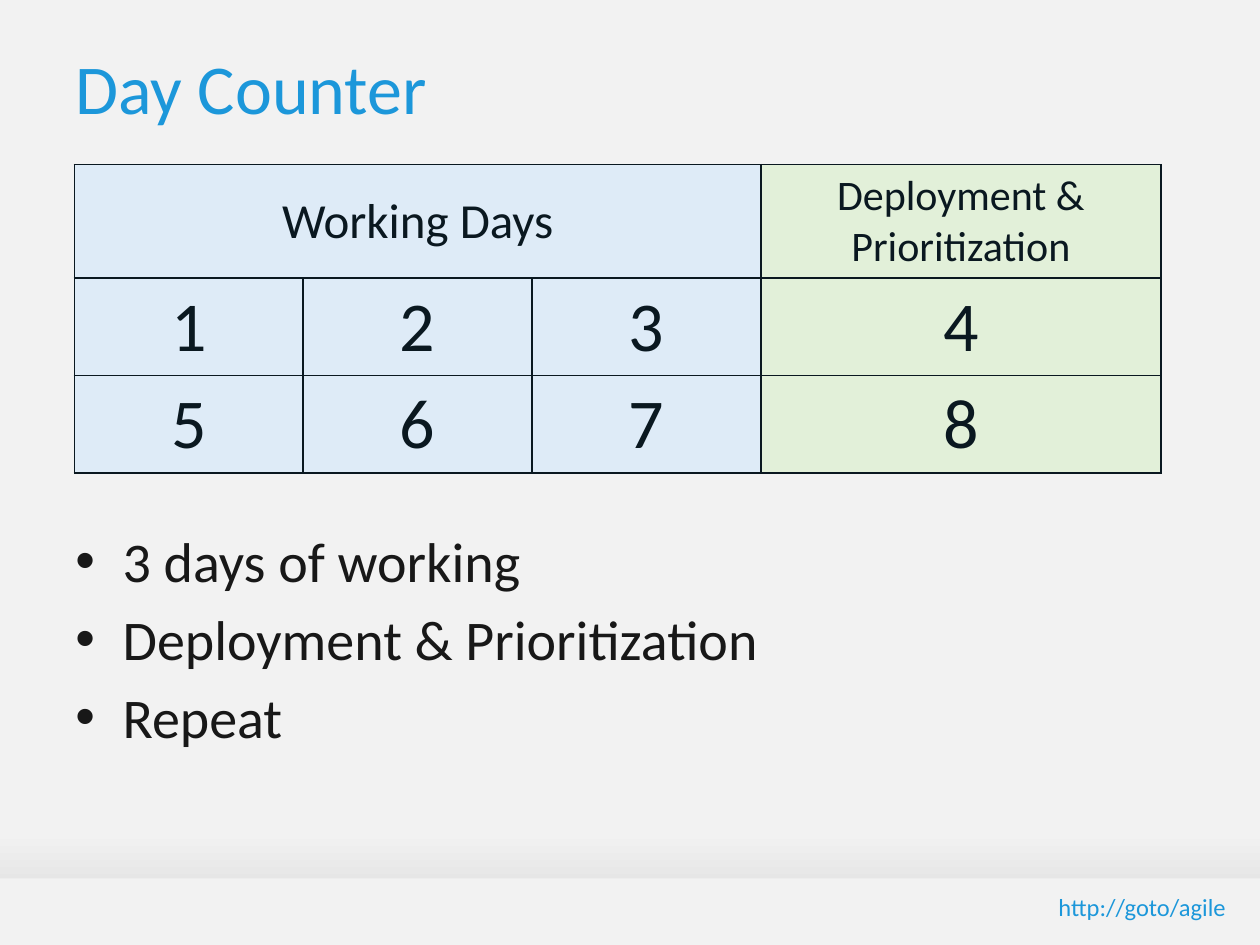
from dataclasses import dataclass

from lxml.etree import SubElement
from pptx import Presentation
from pptx.dml.color import RGBColor
from pptx.enum.shapes import MSO_SHAPE
from pptx.enum.text import MSO_ANCHOR, PP_ALIGN
from pptx.oxml import parse_xml
from pptx.oxml.ns import nsdecls, qn
from pptx.util import Pt

# Content
TITLE = "Day Counter"
LINK = "http://goto/agile"
HEADERS = {0: "Working Days", 3: "Deployment & Prioritization"}
DAYS = [["1", "2", "3", "4"], ["5", "6", "7", "8"]]
BULLETS = ["3 days of working", "Deployment & Prioritization", "Repeat"]

# Layout in points
SLIDE_W, SLIDE_H = 720, 540
FOOTER_TOP = 502
TABLE_LEFT, TABLE_TOP = 42.5, 94
COL_WIDTHS = [130.8, 130.8, 130.8, 228.5]
ROW_HEIGHTS = [65, 55.7, 55.7]


@dataclass(frozen=True)
class Theme:
    font: str = "Calibri"
    background: str = "F2F2F2"
    shade: str = "D3D3D3"
    accent: str = "1C97DA"
    body: str = "181818"
    ink: str = "0A1820"
    work: str = "DEEBF7"
    deploy: str = "E2F0D9"
    title_size: int = 40
    body_size: int = 32
    header_size: int = 28
    small_header_size: int = 24
    day_size: int = 40
    link_size: int = 14


T = Theme()


def rgb(value):
    return RGBColor.from_string(value)


def style(p, size, color, align=PP_ALIGN.LEFT):
    p.alignment = align
    for r in p.runs:
        r.font.name = T.font
        r.font.size = Pt(size)
        r.font.color.rgb = rgb(color)


def add_band(s, top, height):
    sp = s.shapes.add_shape(MSO_SHAPE.RECTANGLE, 0, Pt(top), Pt(SLIDE_W), Pt(height))
    sp.shadow.inherit = False
    sp.line.fill.background()
    return sp.fill


def add_text(s, box, lines, size, color, anchor, align=PP_ALIGN.LEFT):
    tf = s.shapes.add_textbox(*map(Pt, box)).text_frame
    tf.word_wrap = True
    tf.vertical_anchor = anchor
    tf.text = "\n".join(lines)
    for p in tf.paragraphs:
        style(p, size, color, align)
    return tf


def add_bullet(p, indent):
    pPr = p._p.get_or_add_pPr()
    pPr.set("marL", str(Pt(indent)))
    pPr.set("indent", str(-Pt(indent)))
    SubElement(pPr, qn("a:buFont")).set("typeface", "Arial")
    SubElement(pPr, qn("a:buChar")).set("char", "•")


def format_cell(cell, size, fill):
    cell.vertical_anchor = MSO_ANCHOR.MIDDLE
    cell.fill.solid()
    cell.fill.fore_color.rgb = rgb(fill)
    style(cell.text_frame.paragraphs[0], size, T.ink, PP_ALIGN.CENTER)
    tcPr = cell._tc.get_or_add_tcPr()
    for i, side in enumerate("LRTB"):  # borders come before the fill
        tcPr.insert(i, parse_xml(
            f'<a:ln{side} {nsdecls("a")} w="{Pt(1)}"><a:solidFill>'
            f'<a:srgbClr val="{T.ink}"/></a:solidFill></a:ln{side}>'))


def add_day_table(s):
    table = s.shapes.add_table(
        len(ROW_HEIGHTS), len(COL_WIDTHS), Pt(TABLE_LEFT), Pt(TABLE_TOP),
        Pt(sum(COL_WIDTHS)), Pt(sum(ROW_HEIGHTS))).table
    for col, width in zip(table.columns, COL_WIDTHS):
        col.width = Pt(width)
    for row, height in zip(table.rows, ROW_HEIGHTS):
        row.height = Pt(height)
    table.cell(0, 0).merge(table.cell(0, 2))
    rows = [[HEADERS.get(c, "") for c in range(len(COL_WIDTHS))]] + DAYS
    for r, texts in enumerate(rows):
        for c, text in enumerate(texts):
            deploy = c == len(texts) - 1
            header_size = T.small_header_size if deploy else T.header_size
            cell = table.cell(r, c)
            cell.text = text
            format_cell(cell, T.day_size if r else header_size,
                        T.deploy if deploy else T.work)


def main():
    prs = Presentation()
    prs.slide_width, prs.slide_height = Pt(SLIDE_W), Pt(SLIDE_H)
    s = prs.slides.add_slide(prs.slide_layouts[6])
    s.background.fill.solid()
    s.background.fill.fore_color.rgb = rgb(T.background)

    # Backdrop shaded towards the bottom, and footer band
    fill = add_band(s, 0, SLIDE_H)
    fill.gradient()
    fill.gradient_angle = 90
    stops = [(0, T.shade), (0.12, T.background)]
    for stop, (position, color) in zip(fill.gradient_stops, stops):
        stop.position = position
        stop.color.rgb = rgb(color)
    fill = add_band(s, FOOTER_TOP, SLIDE_H - FOOTER_TOP)
    fill.solid()
    fill.fore_color.rgb = rgb(T.background)

    # Footer link
    tf = add_text(s, (581, 507, 119.5, 22), [LINK], T.link_size, T.accent,
                  MSO_ANCHOR.MIDDLE, PP_ALIGN.RIGHT)
    tf.margin_left = tf.margin_right = tf.margin_top = tf.margin_bottom = 0

    # Title, bullets and table
    add_text(s, (36, 21.6, 648, 55.4), [TITLE], T.title_size, T.accent,
             MSO_ANCHOR.MIDDLE)
    tf = add_text(s, (36, 297.5, 648, 185), BULLETS, T.body_size, T.body,
                  MSO_ANCHOR.TOP)
    for p in tf.paragraphs:
        p.space_before = Pt(6)
        add_bullet(p, 27)
    add_day_table(s)

    prs.save("out.pptx")


if __name__ == "__main__":
    main()
